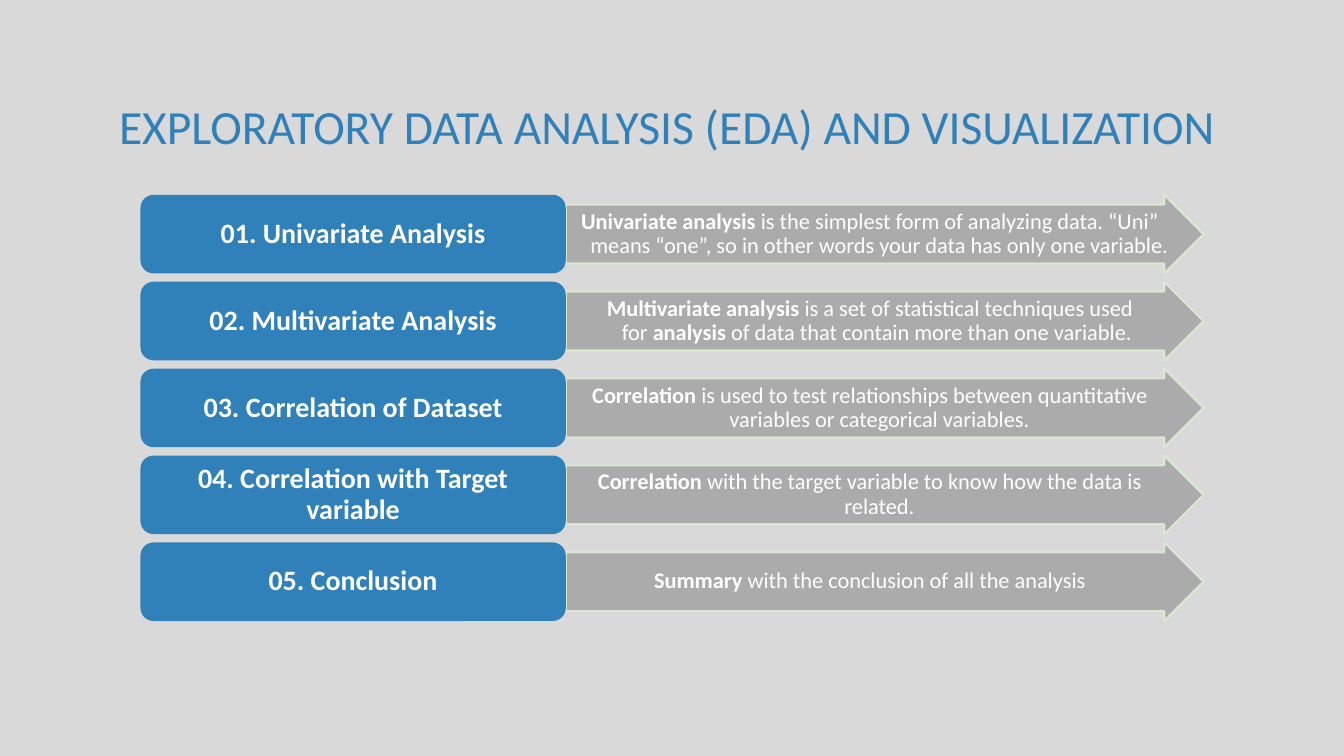
from lxml.etree import SubElement
from pptx import Presentation
from pptx.dml.color import RGBColor
from pptx.enum.shapes import MSO_SHAPE
from pptx.enum.text import MSO_ANCHOR, PP_ALIGN
from pptx.oxml.ns import qn
from pptx.util import Cm, Pt

HARD = chr(160)
TITLE = "EXPLORATORY DATA ANALYSIS (EDA) AND VISUALIZATION"
STEPS = [
    ("01. Univariate Analysis",
     ["Univariate analysis", f"{HARD}is the simplest form of analyzing data. “Uni” means “one”, so in other words your data has only one variable."]),
    ("02. Multivariate Analysis",
     ["Multivariate analysis", f"{HARD}is a set of statistical techniques used for{HARD}",
      "analysis", f"{HARD}of data that contain more than one variable.{HARD}"]),
    ("03. Correlation of Dataset",
     ["Correlation", f"{HARD}is used to test relationships between quantitative variables or categorical variables."]),
    ("04. Correlation with Target variable",
     ["Correlation", f"{HARD}with the target variable to know how the data is related."]),
    ("05. Conclusion",
     ["Summary", " with the conclusion of all the analysis"]),
]
THEME = {
    "font": "Calibri", "back": "D9D9D9", "blue": "3080B9", "gray": "A6A6A6",
    "edge": "DCEDD3", "white": "FFFFFF", "title": 34, "label": 20, "body": 16,
}
LEFT, TOP, PITCH, HIGH = 3.54, 4.91, 2.19, 1.98
LABEL_WIDE, ARROW_WIDE = 10.72, 16.07


def paint(fill, color, alpha=None):
    fill.solid()
    fill.fore_color.rgb = RGBColor.from_string(THEME[color])
    if alpha:
        for node in fill._xPr.iter(qn("a:srgbClr")):
            if node.getparent().getparent() is fill._xPr:
                SubElement(node, qn("a:alpha"), val=str(alpha * 1000))


def write(frame, parts, size, color, bold, pads):
    frame.word_wrap = True
    (frame.margin_left, frame.margin_top,
     frame.margin_right, frame.margin_bottom) = map(Cm, pads)
    para = frame.paragraphs[0]
    para.line_spacing = 0.9
    for i, part in enumerate(parts):
        run = para.add_run()
        run.text = part
        run.font.name = THEME["font"]
        run.font.size = Pt(THEME[size])
        run.font.bold = bold and i % 2 == 0
        run.font.color.rgb = RGBColor.from_string(THEME[color])
    return para


def block(slide, kind, left, top, wide):
    shape = slide.shapes.add_shape(kind, Cm(left), Cm(top), Cm(wide), Cm(HIGH))
    shape.shadow.inherit = False
    shape.text_frame.vertical_anchor = MSO_ANCHOR.MIDDLE
    return shape


def add_arrow(slide, top, parts):
    arrow = block(slide, MSO_SHAPE.RIGHT_ARROW, LEFT + LABEL_WIDE, top, ARROW_WIDE)
    arrow.adjustments[0] = 0.75
    arrow.adjustments[1] = 0.5
    paint(arrow.fill, "gray", 90)
    arrow.line.width = Pt(1.5)
    paint(arrow.line.fill, "edge", 90)
    para = write(arrow.text_frame, parts, "body", "white", True, (0.03, 0.03, 0.03, 0.03))
    para.alignment = PP_ALIGN.CENTER
    props = para._p.get_or_add_pPr()
    props.set("marL", str(Cm(0.48)))
    props.set("indent", str(-Cm(0.48)))


def add_label(slide, top, text):
    label = block(slide, MSO_SHAPE.ROUNDED_RECTANGLE, LEFT, top, LABEL_WIDE)
    paint(label.fill, "blue")
    label.line.fill.background()
    para = write(label.text_frame, [text], "label", "white", True, (0.2, 0.1, 0.2, 0.1))
    para.alignment = PP_ALIGN.CENTER


def main():
    deck = Presentation()
    deck.slide_width, deck.slide_height = Cm(33.87), Cm(19.05)
    slide = deck.slides.add_slide(deck.slide_layouts[6])
    paint(slide.background.fill, "back")
    title = slide.shapes.add_textbox(Cm(2.75), Cm(2.48), Cm(28.37), Cm(1.83))
    write(title.text_frame, [TITLE], "title", "blue", False, (0.25, 0.13, 0.25, 0.13))
    for i, (label, parts) in enumerate(STEPS):
        top = TOP + i * PITCH
        add_arrow(slide, top, parts)
        add_label(slide, top, label)
    deck.save("out.pptx")


if __name__ == "__main__":
    main()
